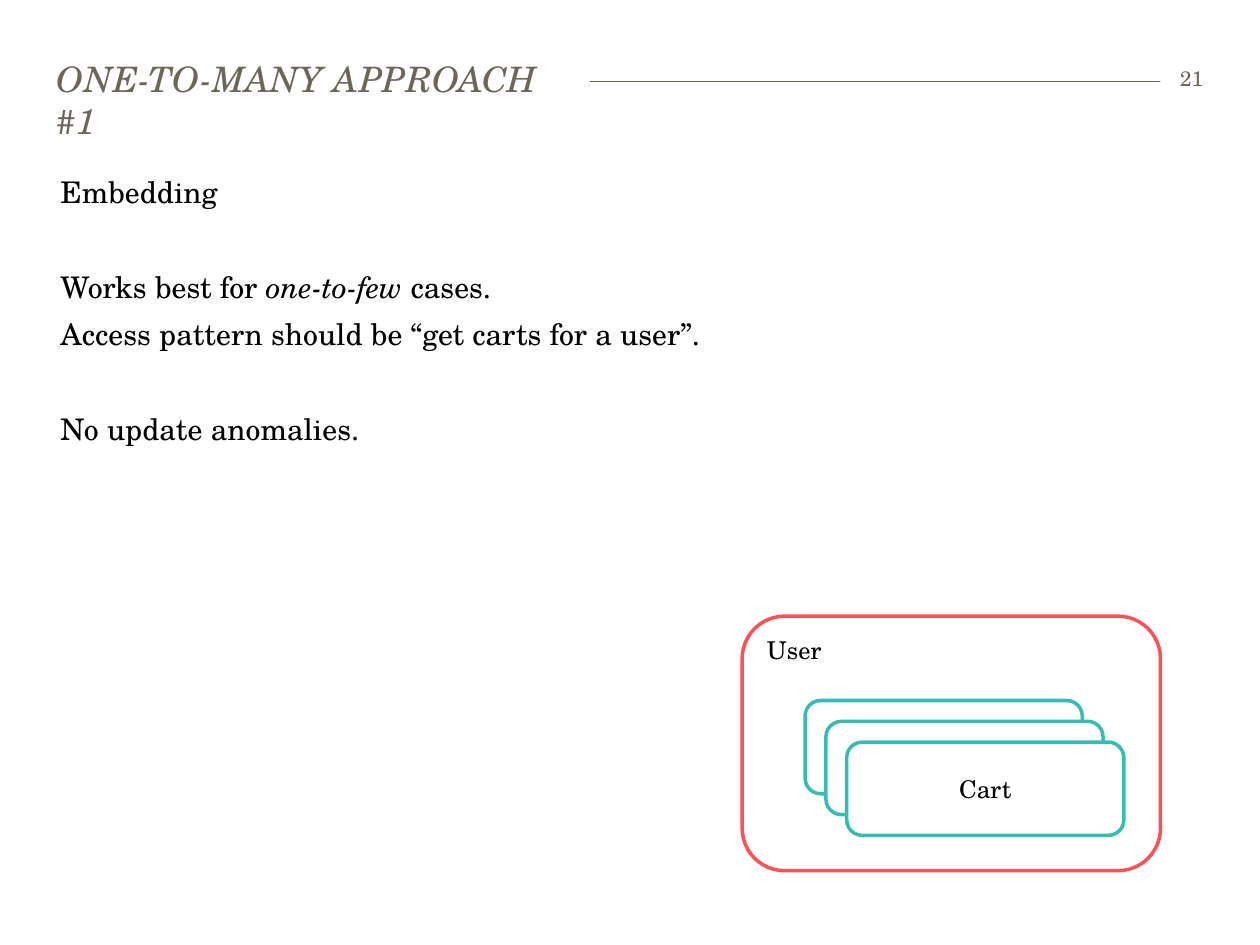
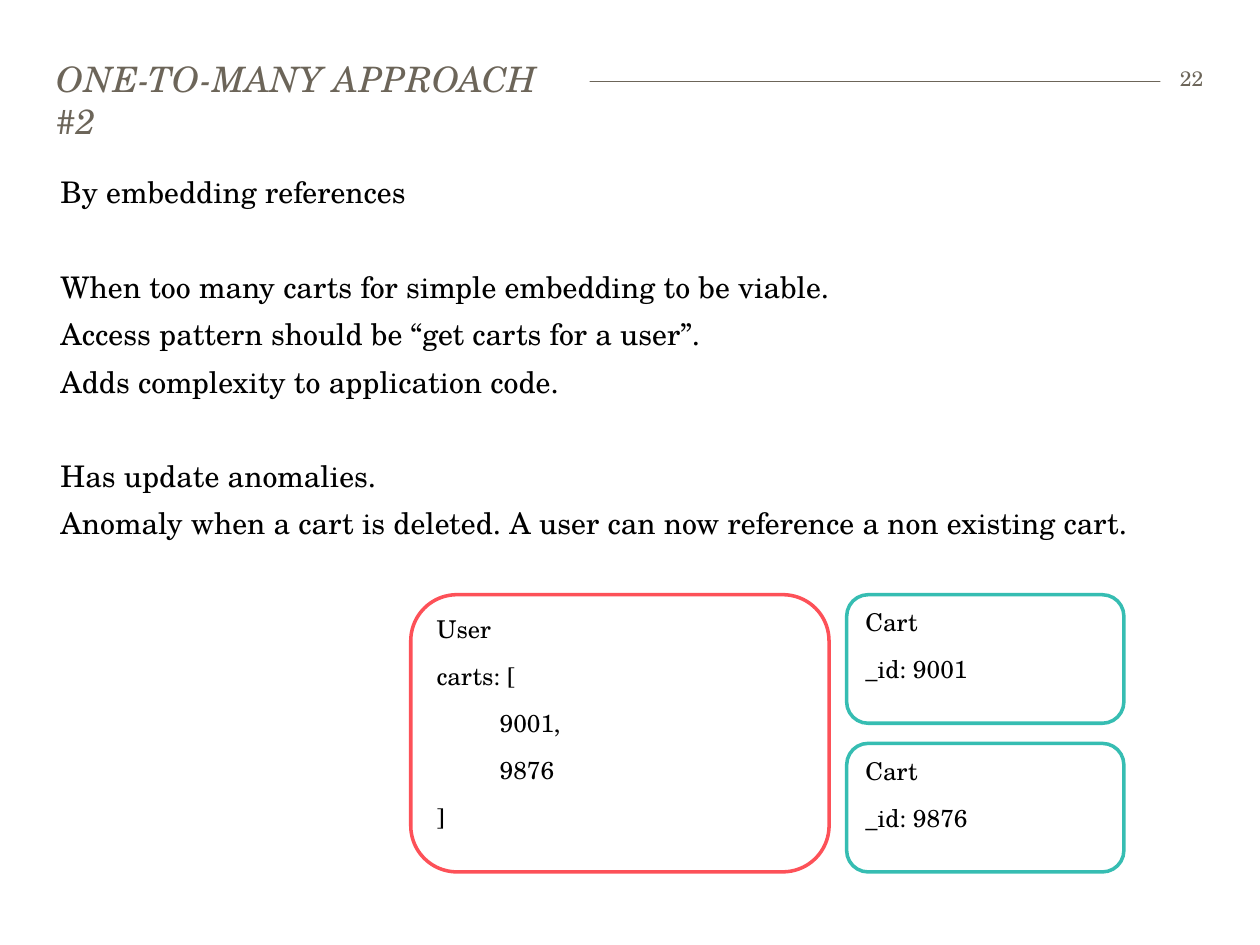
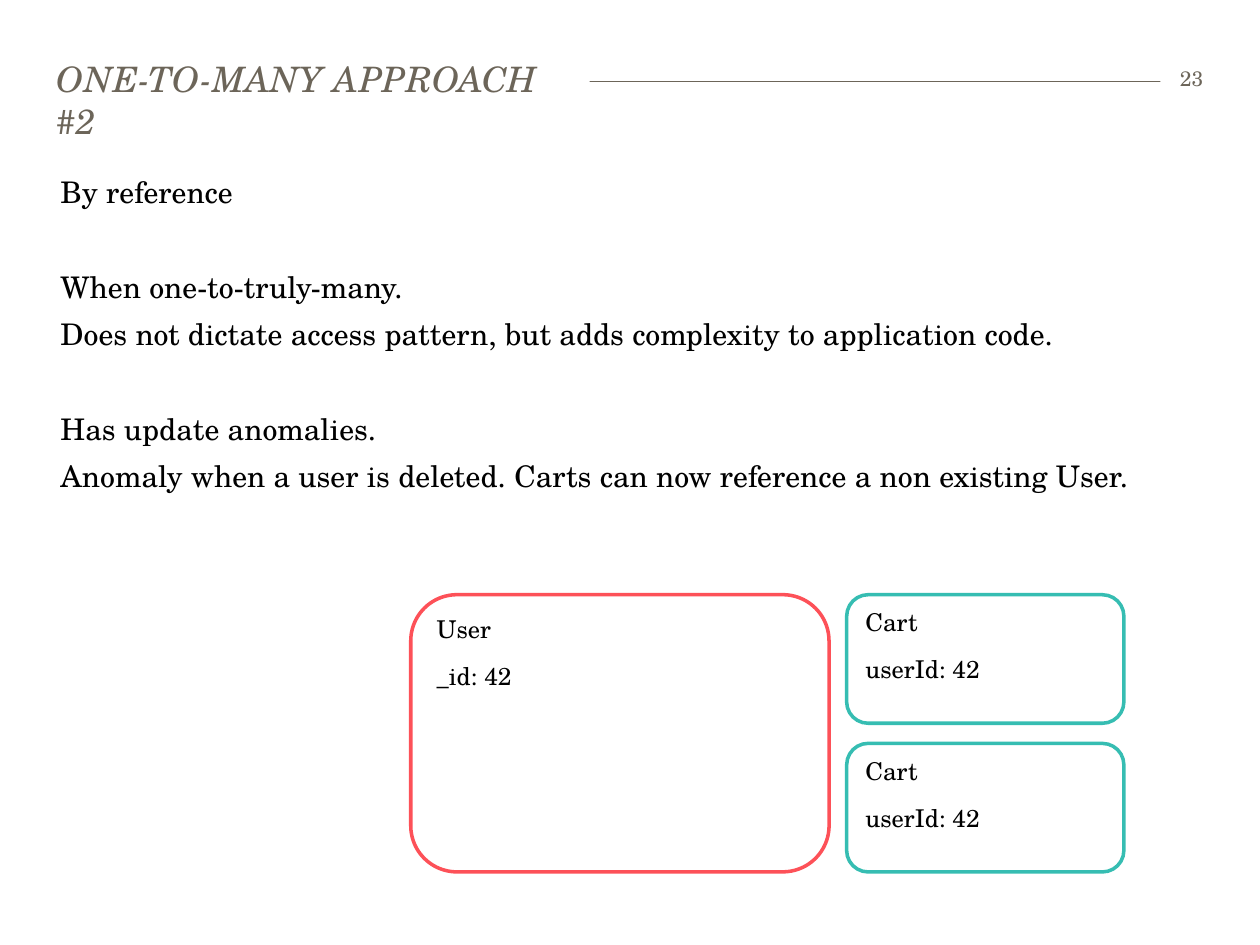
from lxml.etree import SubElement
from pptx import Presentation
from pptx.dml.color import RGBColor
from pptx.enum.shapes import MSO_CONNECTOR, MSO_SHAPE
from pptx.enum.text import MSO_ANCHOR, MSO_AUTO_SIZE, PP_ALIGN
from pptx.oxml.ns import qn
from pptx.util import Inches, Pt

FONT = "TeX Gyre Schola"
GREY, BLACK, WHITE, RED, TEAL = "6C6559", "000000", "FFFFFF", "FD5158", "36BDB2"

# Content: groups of body lines (odd pieces between * are italic) and box texts
SLIDES = [
    dict(title="ONE-TO-MANY APPROACH #1", page=21,
         body=[["Embedding"],
               ["Works best for *one-to-few* cases.",
                "Access pattern should be “get carts for a user”."],
               ["No update anomalies."]],
         user=["User"], stack="Cart"),
    dict(title="ONE-TO-MANY APPROACH #2", page=22,
         body=[["By embedding references"],
               ["When too many carts for simple embedding to be viable.",
                "Access pattern should be “get carts for a user”.",
                "Adds complexity to application code."],
               ["Has update anomalies.",
                "Anomaly when a cart is deleted. A user can now reference a non existing cart."]],
         user=["User", "carts: [", "\t9001,", "\t9876", "]"],
         carts=[["Cart", "_id: 9001"], ["Cart", "_id: 9876"]]),
    dict(title="ONE-TO-MANY APPROACH #2", page=23,
         body=[["By reference"],
               ["When one-to-truly-many.",
                "Does not dictate access pattern, but adds complexity to application code."],
               ["Has update anomalies.",
                "Anomaly when a user is deleted. Carts can now reference a non existing User."]],
         user=["User", "_id: 42"],
         carts=[["Cart", "userId: 42"], ["Cart", "userId: 42"]]),
]

# Layout, in inches
CART_X, CART_W = 6.72, 2.2
STACK_H, STACK_STEP = 0.74, 0.165
CART_H, CART_STEP = 1.02, 1.18
USER_W = 3.32
BEFORE, AFTER, LEADING = 6, 4, 17


def color(code):
    return RGBColor.from_string(code)


def paint(shape, fill):
    shape.fill.solid()
    shape.fill.fore_color.rgb = color(fill)


def place(shape, *spot):
    shape.left, shape.top, shape.width, shape.height = map(Inches, spot)


def style(para, size, tint=BLACK, align=PP_ALIGN.LEFT):
    font = para.font
    font.name, font.size, font.color.rgb = FONT, Pt(size), color(tint)
    para.alignment = align


def setup(frame, left, top, right, anchor=MSO_ANCHOR.TOP, fit=MSO_AUTO_SIZE.NONE):
    frame.margin_left, frame.margin_right = Inches(left), Inches(right)
    frame.margin_top = frame.margin_bottom = Inches(top)
    frame.vertical_anchor, frame.auto_size, frame.word_wrap = anchor, fit, True


def paras(frame, lines):
    """Yield one paragraph of the frame for each line."""
    for i, line in enumerate(lines):
        yield (frame.add_paragraph() if i else frame.paragraphs[0]), line


def add_rule(slide, layout):
    """Draw the header line once, on the shared layout."""
    rule = slide.shapes.add_connector(
        MSO_CONNECTOR.STRAIGHT, Inches(0.46), Inches(0.65), Inches(9.55), Inches(0.65))
    rule.line.color.rgb, rule.line.width = color(GREY), Pt(0.5)
    SubElement(rule._element.spPr, qn("a:effectLst"))
    layout.shapes._spTree.append(rule._element)


def add_head(slide, text, page):
    title = slide.shapes.title
    place(title, 0.35, 0.46, 4.33, 0.34)
    paint(title, WHITE)
    setup(title.text_frame, 0.1, 0, 0.1, fit=MSO_AUTO_SIZE.SHAPE_TO_FIT_TEXT)
    title.text_frame.text = text
    para = title.text_frame.paragraphs[0]
    style(para, 20, GREY)
    para.font.italic = True
    para._p.pPr.find(qn("a:defRPr")).set("spc", "20")

    box = slide.shapes.add_textbox(*map(Inches, (9.21, 0.47, 0.34, 0.3)))
    paint(box, WHITE)
    setup(box.text_frame, 0.04, 0.05, 0, MSO_ANCHOR.MIDDLE)
    box.text_frame.text = str(page)
    style(box.text_frame.paragraphs[0], 12, GREY, PP_ALIGN.RIGHT)


def add_body(slide, groups):
    body = slide.placeholders[1]
    place(body, 0.36, 1.38, 9.28, 5.9)
    frame = body.text_frame
    setup(frame, 0.12, 0.05, 0.1)
    # A new group starts one full line lower
    lines = [(line, g > 0 and i == 0)
             for g, group in enumerate(groups) for i, line in enumerate(group)]
    for para, (line, gap) in paras(frame, lines):
        style(para, 17)
        para.line_spacing = Pt(LEADING)
        para.space_before = Pt(BEFORE + gap * (BEFORE + LEADING + AFTER))
        para.space_after = Pt(AFTER)
        props = para._p.get_or_add_pPr()
        props.set("marL", "0")
        props.set("indent", "0")
        props.insert_element_before(props.makeelement(qn("a:buNone")), "a:tabLst", "a:defRPr")
        for i, part in enumerate(line.split("*")):
            run = para.add_run()
            run.text = part
            if i % 2:
                run.font.italic = True


def add_box(slide, edge, spot, lines=(), center=False):
    box = slide.shapes.add_shape(MSO_SHAPE.ROUNDED_RECTANGLE, *map(Inches, spot))
    box.shadow.inherit = False
    paint(box, WHITE)
    box.line.color.rgb, box.line.width = color(edge), Pt(2)
    frame = box.text_frame
    setup(frame, 0.1, 0.05, 0.1, MSO_ANCHOR.MIDDLE if center else MSO_ANCHOR.TOP)
    for para, line in paras(frame, lines):
        para.text = line.lstrip("\t")
        style(para, 14, align=PP_ALIGN.CENTER if center else PP_ALIGN.LEFT)
        para.space_before, para.space_after = Pt(BEFORE), Pt(AFTER)
        if line.startswith("\t"):
            para._p.pPr.set("marL", str(Inches(0.5)))


def add_stack(slide, user, label):
    """Carts piled up inside the user."""
    add_box(slide, RED, (5.89, 4.89, USER_W, 2.02), user)
    for back in (2, 1, 0):
        shift = back * STACK_STEP
        add_box(slide, TEAL, (CART_X - shift, 5.89 - shift, CART_W, STACK_H),
                () if back else [label], center=True)


def add_pair(slide, user, carts):
    """Carts one below the other, beside the user."""
    top = 4.72
    add_box(slide, RED, (3.26, top, USER_W, CART_STEP + CART_H), user)
    for i, cart in enumerate(carts):
        add_box(slide, TEAL, (CART_X, top + i * CART_STEP, CART_W, CART_H), cart)


def main():
    deck = Presentation()
    deck.slide_width, deck.slide_height = Inches(10), Inches(7.5)
    layout = deck.slide_layouts[1]
    for i, data in enumerate(SLIDES):
        slide = deck.slides.add_slide(layout)
        if i == 0:
            add_rule(slide, layout)
        add_head(slide, data["title"], data["page"])
        add_body(slide, data["body"])
        if "stack" in data:
            add_stack(slide, data["user"], data["stack"])
        else:
            add_pair(slide, data["user"], data["carts"])
    deck.save("out.pptx")


if __name__ == "__main__":
    main()
